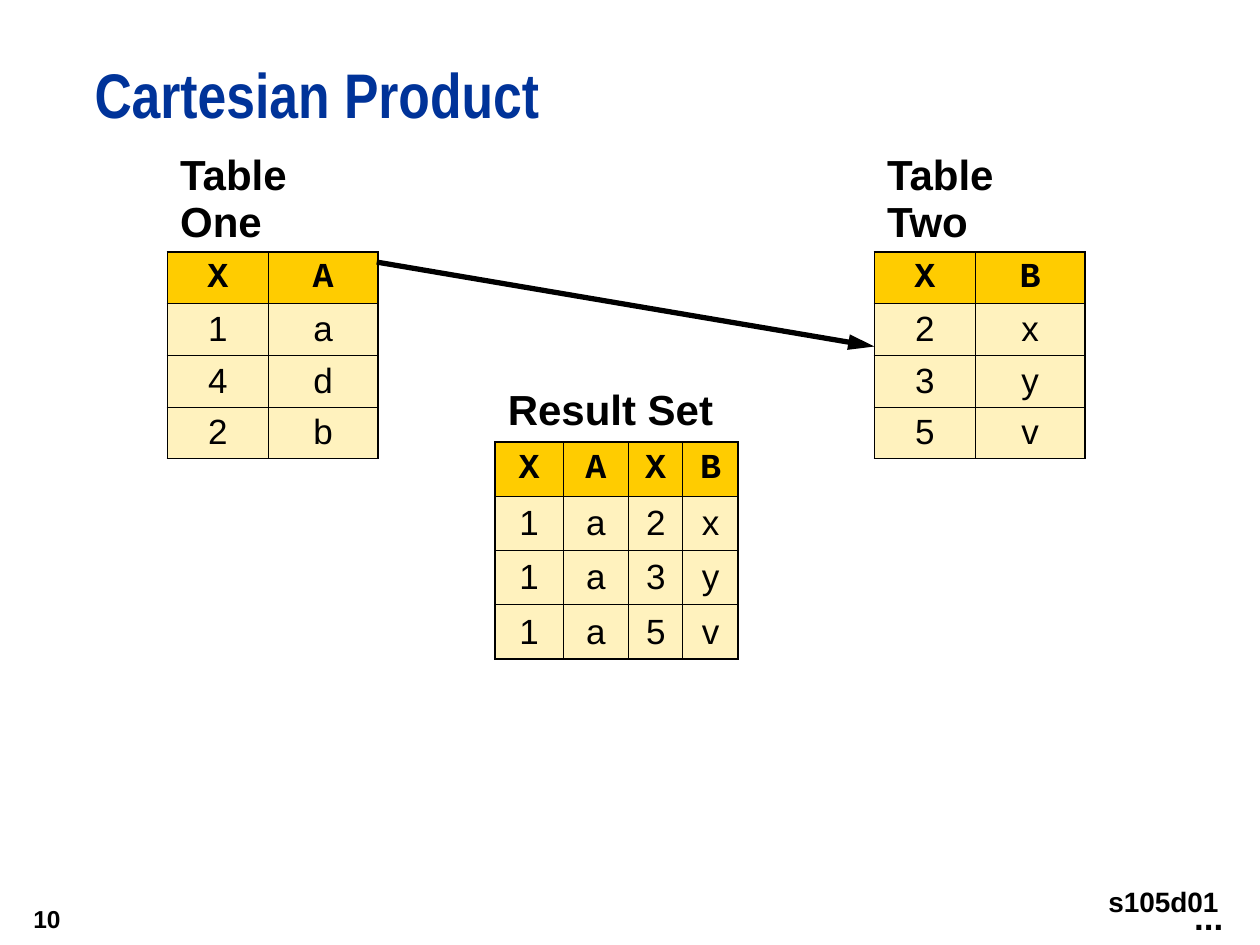
from pptx import Presentation
from pptx.dml.color import RGBColor
from pptx.enum.shapes import MSO_CONNECTOR
from pptx.enum.text import MSO_ANCHOR, MSO_AUTO_SIZE, PP_ALIGN
from pptx.oxml.xmlchemy import OxmlElement
from pptx.util import Inches, Pt

BLACK = RGBColor(0x00, 0x00, 0x00)
BLUE = RGBColor(0x00, 0x33, 0x99)
GOLD = RGBColor(0xFF, 0xCC, 0x00)
CREAM = RGBColor(0xFF, 0xF2, 0xBE)
OUTER, INNER = 1.08, 0.45


def add_run(paragraph, text, size, font="Arial", color=BLACK, bold=True):
    run = paragraph.add_run()
    run.text = text
    run.font.name = font
    run.font.size = Pt(size)
    run.font.bold = bold
    run.font.color.rgb = color


def add_label(slide, box, text, size, inset=(0.1, 0.05), align=PP_ALIGN.LEFT,
              anchor=MSO_ANCHOR.TOP, wrap=False, grow=False, spacing=None,
              **style):
    label = slide.shapes.add_textbox(*map(Inches, box))
    frame = label.text_frame
    frame.word_wrap = wrap
    frame.auto_size = MSO_AUTO_SIZE.SHAPE_TO_FIT_TEXT if grow else MSO_AUTO_SIZE.NONE
    frame.vertical_anchor = anchor
    frame.margin_left = frame.margin_right = Inches(inset[0])
    frame.margin_top = frame.margin_bottom = Inches(inset[1])
    paragraph = frame.paragraphs[0]
    paragraph.alignment = align
    paragraph.line_spacing = spacing
    add_run(paragraph, text, size, **style)


def set_borders(cell, left, right, top, bottom):
    """Give each side a black line of that many points, or none for 0."""
    properties = cell._tc.get_or_add_tcPr()
    sides = {"L": left, "R": right, "T": top, "B": bottom}
    for side, width in sides.items():
        line = OxmlElement(f"a:ln{side}")
        line.set("w", str(int(Pt(width))))
        if width:
            fill = OxmlElement("a:solidFill")
            color = OxmlElement("a:srgbClr")
            color.set("val", str(BLACK))
            fill.append(color)
        else:
            fill = OxmlElement("a:noFill")
        line.append(fill)
        properties.append(line)


def add_cell_text(cell, text, size, align, inset, **style):
    cell.vertical_anchor = MSO_ANCHOR.MIDDLE
    cell.margin_left = cell.margin_right = Inches(0.1)
    cell.margin_top = cell.margin_bottom = Inches(inset)
    paragraph = cell.text_frame.paragraphs[0]
    paragraph.alignment = align
    add_run(paragraph, text, size, **style)


def add_data_table(slide, left, top, widths, heights, caption, rows):
    """Add a table with a merged caption row, a gold header and cream data."""
    row_count, column_count = len(rows) + 1, len(widths)
    table = slide.shapes.add_table(
        row_count, column_count, Inches(left), Inches(top),
        Inches(sum(widths)), Inches(sum(heights))).table
    table.first_row = table.horz_banding = False
    for column, width in zip(table.columns, widths):
        column.width = Inches(width)
    for row, height in zip(table.rows, heights):
        row.height = Inches(height)

    for c in range(column_count):
        caption_cell = table.cell(0, c)
        set_borders(caption_cell, 0, 0, 0, OUTER)
        caption_cell.fill.background()
    table.cell(0, 0).merge(table.cell(0, column_count - 1))
    add_cell_text(table.cell(0, 0), caption, 24, PP_ALIGN.LEFT, 0.03)

    for r, values in enumerate(rows, start=1):
        header = r == 1
        for c, value in enumerate(values):
            cell = table.cell(r, c)
            set_borders(cell,
                        OUTER if c == 0 else INNER,
                        OUTER if c == column_count - 1 else INNER,
                        OUTER if header else INNER,
                        OUTER if r == row_count - 1 else INNER)
            cell.fill.solid()
            cell.fill.fore_color.rgb = GOLD if header else CREAM
            add_cell_text(cell, value, 20, PP_ALIGN.CENTER, 0.04,
                          font="Courier New" if header else "Arial", bold=header)


def add_arrow(slide, start, end):
    arrow = slide.shapes.add_connector(
        MSO_CONNECTOR.STRAIGHT, *map(Inches, start + end))
    arrow.line.color.rgb = BLACK
    arrow.line.width = Pt(3)
    head = OxmlElement("a:tailEnd")
    head.set("type", "triangle")
    head.set("len", "lg")
    arrow.line._get_or_add_ln().append(head)
    arrow._element.spPr.append(OxmlElement("a:effectLst"))


def main():
    presentation = Presentation()
    presentation.slide_width, presentation.slide_height = Inches(10), Inches(7.5)
    slide = presentation.slides.add_slide(presentation.slide_layouts[6])

    add_label(slide, (0.75, 0.5, 9.25, 0.75), "Cartesian Product", 36,
              inset=(0, 0), wrap=True, spacing=Pt(39),
              font="Arial Narrow", color=BLUE)

    source_widths, source_heights = (0.8, 0.87), (0.83,) + (0.41,) * 4
    add_data_table(slide, 1.33, 1.17, source_widths, source_heights,
                   "Table One", ("XA", "1a", "4d", "2b"))
    add_data_table(slide, 6.94, 1.17, source_widths, source_heights,
                   "Table Two", ("XB", "2x", "3y", "5v"))
    add_data_table(slide, 3.93, 3.01, (0.54, 0.52, 0.43, 0.44),
                   (0.5,) + (0.43,) * 4,
                   "Result Set", ("XAXB", "1a2x", "1a3y", "1a5v"))
    add_arrow(slide, (2.99, 2.08), (6.94, 2.75))

    add_label(slide, (0, 7.08, 0.58, 0.42), "10", 14,
              align=PP_ALIGN.RIGHT, anchor=MSO_ANCHOR.MIDDLE)
    add_label(slide, (9.38, 7.06, 0.43, 0.44), "...", 20, grow=True)
    add_label(slide, (8.67, 6.92, 1.1, 0.46), "s105d01", 16,
              inset=(0.1, 0.1), align=PP_ALIGN.RIGHT, grow=True)

    presentation.save("out.pptx")


if __name__ == "__main__":
    main()
